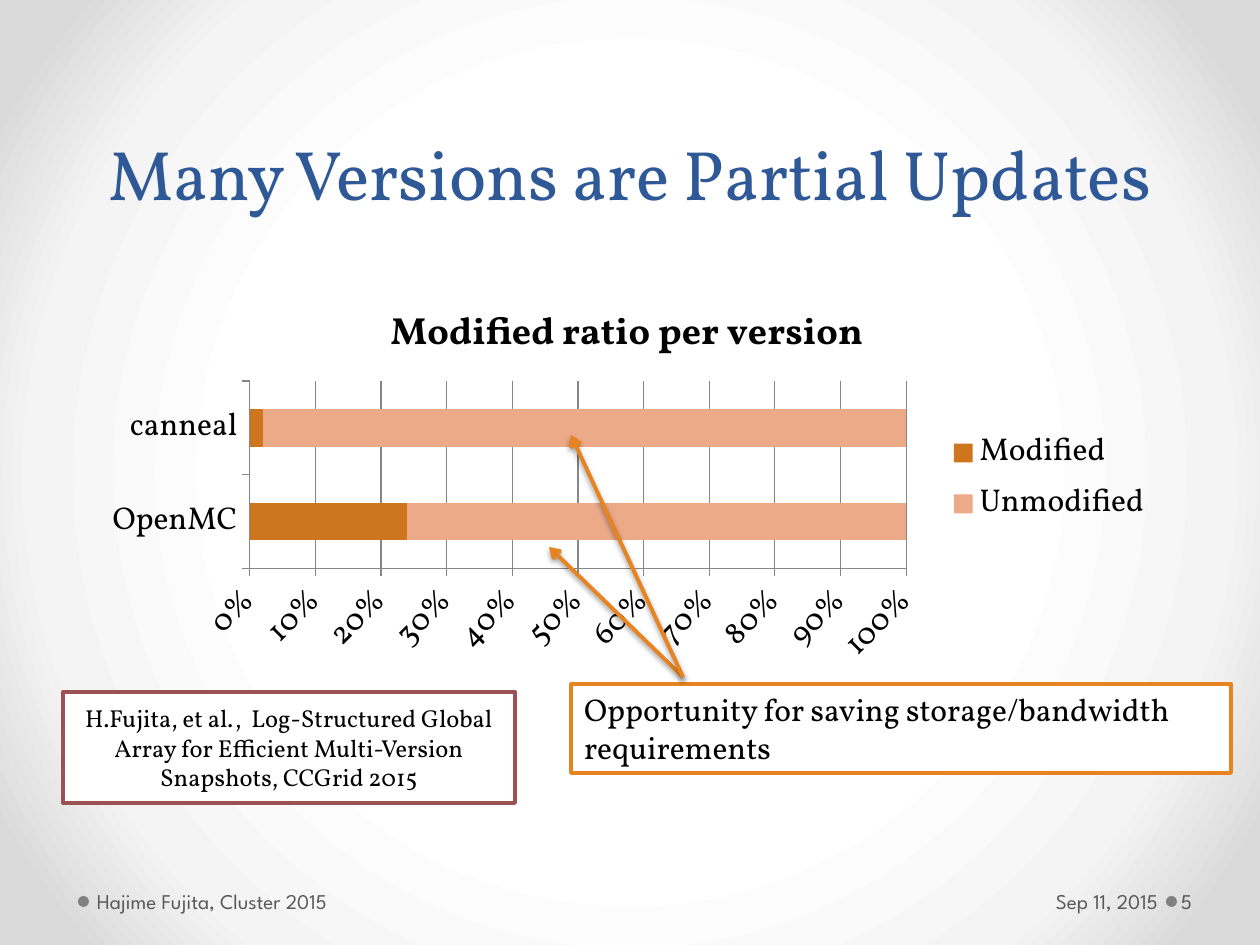
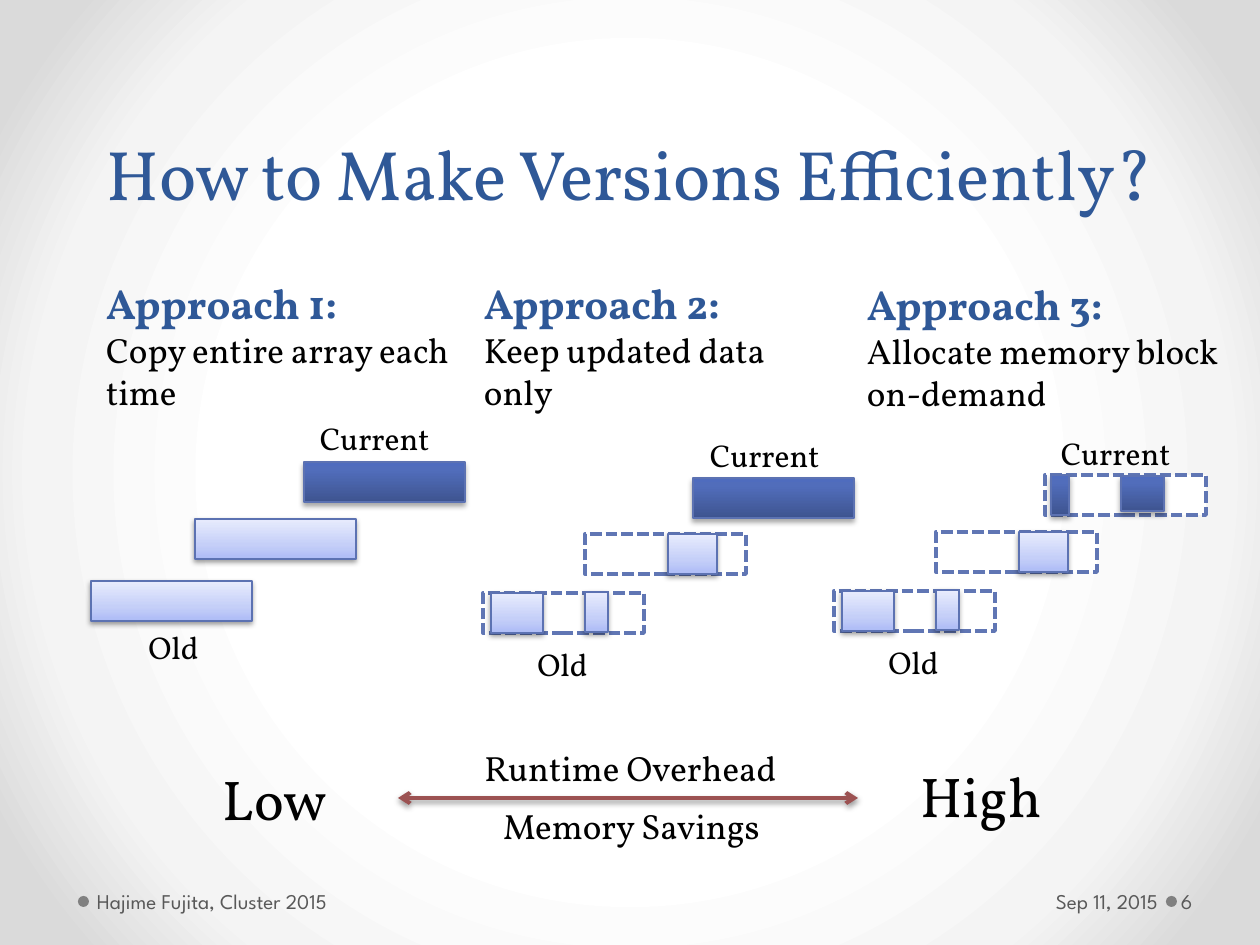
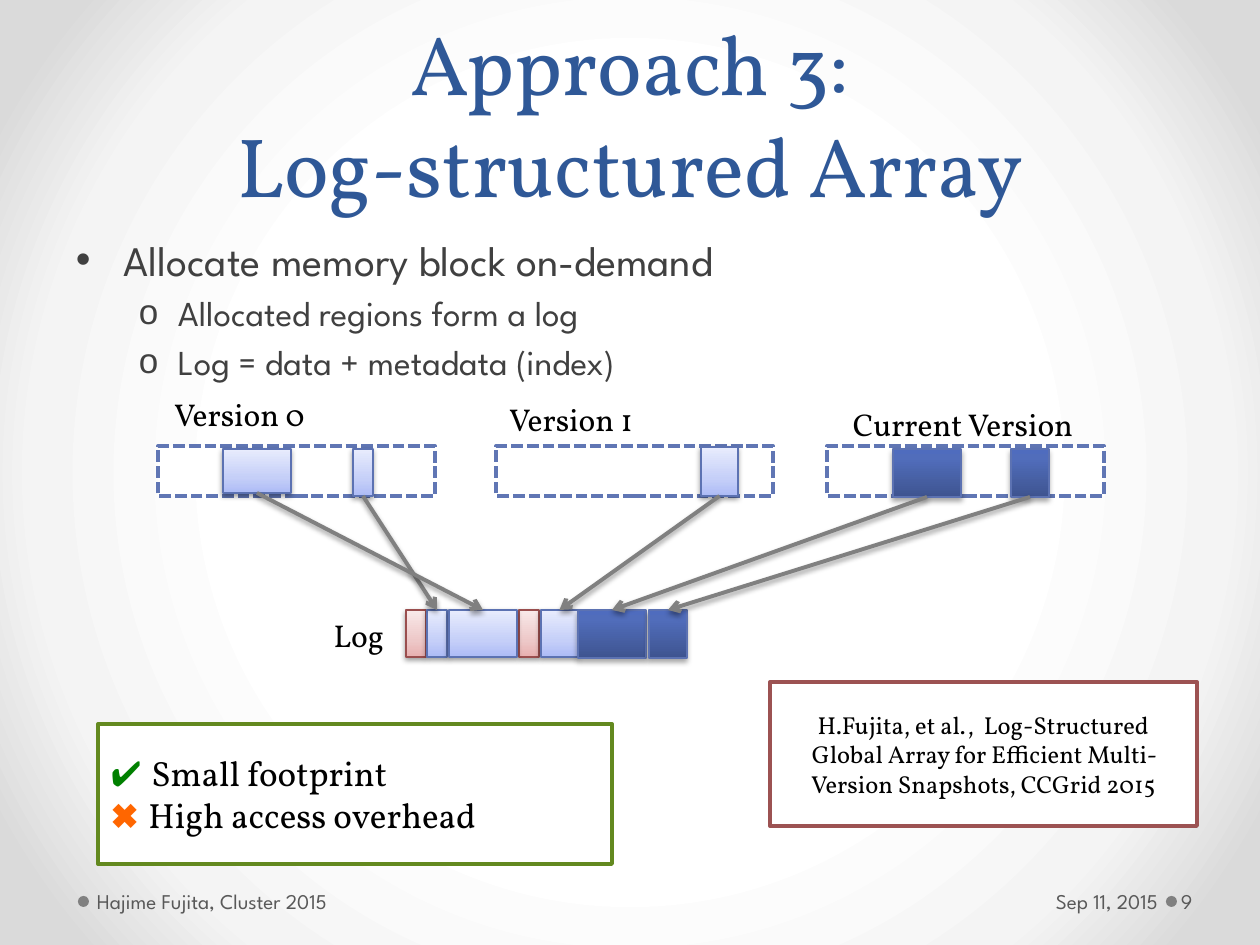
from pptx import Presentation
from pptx.chart.data import CategoryChartData
from pptx.dml.color import RGBColor
from pptx.enum.chart import XL_CHART_TYPE, XL_LEGEND_POSITION, XL_TICK_MARK
from pptx.enum.dml import MSO_LINE
from pptx.enum.shapes import MSO_CONNECTOR, MSO_SHAPE
from pptx.enum.text import MSO_ANCHOR, PP_ALIGN
from pptx.oxml import parse_xml
from pptx.oxml.ns import nsdecls, qn
from pptx.util import Emu, Pt

EMU_PER_PX = 914400 / 126
SERIF, SANS, SYMBOL = "Vollkorn", "League Spartan", "Arial"
TOP, BOTTOM = 0, 2

COLORS = {
    "black": "000000", "white": "FFFFFF", "title": "2F5897",
    "body": "404040", "footer": "595959", "gray": "808080",
    "dash": "6076B4", "blue edge": "5C72B2", "rose edge": "9A4E4E",
    "red": "9C5252", "orange": "E68422", "green": "63891F",
    "check": "008000", "cross": "FF6600", "grid": "868686",
    "modified": "CD761E", "unmodified": "ECAA89",
}
GRADIENTS = {
    "backdrop": [(50, "FFFFFF"), (76, "F4F4F4"), (92, "DADADA")],
    "dark": [(0, "3E5490"), (80, "516DBB"), (100, "4F6CBE")],
    "light": [(0, "ADBBF6"), (35, "C5CFF8"), (100, "E8ECFD")],
    "rose": [(0, "E8B0B0"), (35, "EDC8C8"), (100, "F9E9E9")],
}
UPWARD = '<a:lin ang="16200000" scaled="0"/>'
FROM_CENTER = ('<a:path path="circle"><a:fillToRect l="50000" t="50000" '
               'r="50000" b="50000"/></a:path>')
CITATION = ("H.Fujita, et al.,  Log-Structured Global Array for Efficient "
            "Multi-Version Snapshots, CCGrid 2015")


def px(*lengths):
    return [Emu(round(length * EMU_PER_PX)) for length in lengths]


def rgb(name):
    return RGBColor.from_string(COLORS[name])


def replace_solid_fill(properties, gradient, direction):
    """Swap the solid fill in a properties element for a named gradient."""
    stops = "".join(
        f'<a:gs pos="{position * 1000}"><a:srgbClr val="{color}"/></a:gs>'
        for position, color in GRADIENTS[gradient])
    solid = properties.find(qn("a:solidFill"))
    properties.replace(solid, parse_xml(
        f'<a:gradFill {nsdecls("a")} rotWithShape="1">'
        f'<a:gsLst>{stops}</a:gsLst>{direction}</a:gradFill>'))


def add_shadow(properties, opacity=38, distance=1.6):
    """Put a soft downward shadow on a shape or connector."""
    old = properties.find(qn("a:effectLst"))
    if old is not None:
        properties.remove(old)
    properties.append(parse_xml(
        f'<a:effectLst {nsdecls("a")}><a:outerShdw blurRad="{Pt(3.1)}" '
        f'dist="{Pt(distance)}" dir="5400000" rotWithShape="0">'
        f'<a:srgbClr val="000000"><a:alpha val="{opacity * 1000}"/>'
        '</a:srgbClr></a:outerShdw></a:effectLst>'))


def write(paragraph, text, *, size=18, color="black", font=SERIF, bold=False,
          align=None, line_spacing=None, space_before=None):
    """Append formatted text to a paragraph; a newline is a line break."""
    if align is not None:
        paragraph.alignment = align
    if line_spacing:
        paragraph.line_spacing = Pt(line_spacing)
    if space_before:
        paragraph.space_before = Pt(space_before)
    for index, line in enumerate(text.split("\n")):
        if index:
            paragraph.add_line_break()
        run = paragraph.add_run()
        run.text = line
        run.font.name = font
        run.font.size = Pt(size)
        run.font.bold = bold
        run.font.color.rgb = rgb(color)


def prepare_frame(shape, anchor=MSO_ANCHOR.TOP, insets=(13, 6, 13, 6)):
    frame = shape.text_frame
    frame.word_wrap = True
    frame.vertical_anchor = anchor
    (frame.margin_left, frame.margin_top,
     frame.margin_right, frame.margin_bottom) = px(*insets)
    return frame


def add_text(slide, box, text="", anchor=MSO_ANCHOR.TOP,
             insets=(13, 6, 13, 6), **text_format):
    frame = prepare_frame(slide.shapes.add_textbox(*px(*box)), anchor, insets)
    if text:
        write(frame.paragraphs[0], text, **text_format)
    return frame


def add_flat_shape(slide, box, fill="white", edge=None, preset=MSO_SHAPE.RECTANGLE):
    shape = slide.shapes.add_shape(preset, *px(*box))
    shape.shadow.inherit = False
    shape.fill.solid()
    shape.fill.fore_color.rgb = rgb(fill)
    if edge:
        shape.line.color.rgb = rgb(edge)
        shape.line.width = Pt(2.25)
    else:
        shape.line.fill.background()
    return shape


def add_array_outline(slide, box):
    add_flat_shape(slide, box, edge="dash").line.dash_style = MSO_LINE.SQUARE_DOT


def add_block(slide, box, tone):
    """Add a shaded memory block: dark is current, light is old, rose is index."""
    block = add_flat_shape(slide, box, edge="rose edge" if tone == "rose" else "blue edge")
    block.line.width = Pt(0.75)
    properties = block.element.spPr
    replace_solid_fill(properties, tone, UPWARD)
    if tone == "dark":
        add_shadow(properties, opacity=35, distance=1.8)
    else:
        add_shadow(properties)
    return block


def add_note(slide, box, edge, anchor=MSO_ANCHOR.MIDDLE):
    frame = prepare_frame(add_flat_shape(slide, box, edge=edge), anchor)
    frame.paragraphs[0].alignment = PP_ALIGN.LEFT
    return frame


def add_citation(slide, box):
    frame = add_note(slide, box, "red")
    write(frame.paragraphs[0], CITATION, size=14, align=PP_ALIGN.CENTER)


def add_arrow(slide, start=(0, 0), end=(0, 0), color="gray", ends=("tailEnd",)):
    arrow = slide.shapes.add_connector(MSO_CONNECTOR.STRAIGHT, *px(*start, *end))
    arrow.line.color.rgb = rgb(color)
    arrow.line.width = Pt(2.25)
    properties = arrow.element.spPr
    for name in ends:
        properties.find(qn("a:ln")).append(
            parse_xml(f'<a:{name} {nsdecls("a")} type="arrow"/>'))
    add_shadow(properties)
    return arrow


def add_bullet(frame, text, level, symbol, left, hanging, **text_format):
    first = not frame.paragraphs[0].runs
    paragraph = frame.paragraphs[0] if first else frame.add_paragraph()
    paragraph.level = level
    properties = paragraph._p.get_or_add_pPr()
    margin, indent = px(left, -hanging)
    properties.set("marL", str(margin))
    properties.set("indent", str(indent))
    for element in (f'buFont {nsdecls("a")} typeface="{SYMBOL}"',
                    f'buChar {nsdecls("a")} char="{symbol}"'):
        properties.append(parse_xml(f"<a:{element}/>"))
    write(paragraph, text, font=SANS, color="body",
          space_before=None if first else 4, **text_format)


def add_framed_slide(presentation, title, number, title_size=40):
    """Add a slide with its title and footer."""
    slide = presentation.slides.add_slide(presentation.slide_layouts[6])
    for left in (1166, 78):
        add_flat_shape(slide, (left, 896, 11, 11), "gray", preset=MSO_SHAPE.OVAL)
    add_text(slide, (63, 0, 1134, 220), title, MSO_ANCHOR.BOTTOM, size=title_size,
             color="title", align=PP_ALIGN.CENTER, line_spacing=58)
    for left, width, text, insets, align in (
            (877, 287, "Sep 11, 2015", (13, 6, 6, 6), PP_ALIGN.RIGHT),
            (1177, 77, str(number), (4, 6, 6, 6), PP_ALIGN.LEFT),
            (91, 392, "Hajime Fujita, Cluster 2015", (6, 6, 13, 6), PP_ALIGN.LEFT)):
        add_text(slide, (left, 876, width, 50), text, MSO_ANCHOR.MIDDLE, insets,
                 size=12, font=SANS, color="footer", align=align)
    return slide


def add_ratio_chart(slide, box):
    data = CategoryChartData()
    data.categories = ["OpenMC", "canneal"]
    data.add_series("Modified", (24, 2))
    data.add_series("Unmodified", (76, 98))
    chart = slide.shapes.add_chart(XL_CHART_TYPE.BAR_STACKED_100, *px(*box), data).chart
    chart.font.name = SERIF
    chart.font.size = Pt(18)
    chart.font.color.rgb = rgb("black")
    chart.has_title = True
    write(chart.chart_title.text_frame.paragraphs[0], "Modified ratio per version",
          size=21.6, bold=True)
    chart.has_legend = True
    chart.legend.position = XL_LEGEND_POSITION.RIGHT
    chart.legend.include_in_layout = False
    for axis in (chart.category_axis, chart.value_axis):
        axis.major_tick_mark = XL_TICK_MARK.OUTSIDE
        axis.format.line.color.rgb = rgb("grid")
    chart.value_axis.has_major_gridlines = True
    chart.value_axis.major_gridlines.format.line.color.rgb = rgb("grid")
    labels = chart.value_axis.tick_labels
    labels.number_format = "0%"
    labels.number_format_is_linked = False
    plot = chart.plots[0]
    plot.gap_width = 150
    plot.overlap = 100
    plot.vary_by_categories = False
    for series, color in zip(plot.series, ("modified", "unmodified")):
        series.format.fill.solid()
        series.format.fill.fore_color.rgb = rgb(color)


def add_approach_heading(slide, box, number, summary):
    frame = add_text(slide, box, f"Approach {number}:", size=24, color="title", bold=True)
    write(frame.add_paragraph(), summary, size=20)


def add_age_labels(slide, current, old):
    add_text(slide, (*current, 161, 50), "Current")
    add_text(slide, (*old, 161, 50), "Old", align=PP_ALIGN.CENTER)


def add_sparse_history(slide, left, top):
    """Draw two old versions that keep only their updated blocks."""
    for dx, dy in ((0, 0), (102, -59)):
        add_array_outline(slide, (left + dx, top + dy, 161, 40))
    for dx, dy, width in ((8, 0, 52), (102, -1, 23), (185, -59, 49)):
        add_block(slide, (left + dx, top + dy, width, 40), "light")
    add_age_labels(slide, (left + 214, top - 163), (left - 1, top + 46))


def build_partial_updates(presentation):
    slide = add_framed_slide(presentation, "Many Versions are Partial Updates", 5)
    add_ratio_chart(slide, (91, 282, 1074, 393))
    note = add_note(slide, (571, 684, 660, 89), "orange", MSO_ANCHOR.TOP)
    write(note.paragraphs[0], "Opportunity for saving storage/bandwidth requirements")
    for target in ((549, 547), (571, 435)):
        add_arrow(slide, (683, 677), target, "orange")
    add_citation(slide, (63, 692, 452, 111))


def build_approaches(presentation):
    slide = add_framed_slide(presentation, "How to Make Versions Efficiently?", 6)
    headings = (
        ((93, 272, 407, 149), "Copy entire array each time"),
        ((471, 272, 367, 149), "Keep updated data only"),
        ((854, 273, 389, 149), "Allocate memory block on-demand"),
    )
    for number, (box, summary) in enumerate(headings, start=1):
        add_approach_heading(slide, box, number, summary)

    for left, top, tone in ((304, 462, "dark"), (195, 519, "light"), (91, 581, "light")):
        add_block(slide, (left, top, 161, 40), tone)
    add_age_labels(slide, (307, 413), (93, 622))

    add_sparse_history(slide, 483, 593)
    add_block(slide, (693, 478, 161, 40), "dark")

    add_sparse_history(slide, 834, 591)
    add_array_outline(slide, (1045, 475, 161, 40))
    add_block(slide, (1051, 475, 18, 40), "dark")
    add_block(slide, (1121, 476, 43, 35), "dark")

    add_arrow(slide, (398, 798), (858, 798), "red", ("headEnd", "tailEnd"))
    for box, text, size in (
            ((427, 740, 407, 55), "Runtime Overhead", 20),
            ((428, 798, 407, 55), "Memory Savings", 20),
            ((170, 759, 210, 81), "Low", 32),
            ((876, 755, 210, 81), "High", 32)):
        add_text(slide, box, text, size=size, align=PP_ALIGN.CENTER)


def build_log_structured_array(presentation):
    slide = add_framed_slide(presentation, "Approach 3:\nLog-structured Array", 9, 48)
    body = add_text(slide, (63, 228, 1134, 168))
    add_bullet(body, "Allocate memory block on-demand", 0, "•", 48, 48, size=24)
    for text in ("Allocated regions form a log", "Log = data + metadata (index)"):
        add_bullet(body, text, 1, "o", 102, 39, size=20)

    for left, label_left, label_top, label in (
            (158, 161, 389, "Version 0"),
            (496, 496, 394, "Version 1"),
            (827, 840, 399, "Current Version")):
        add_array_outline(slide, (left, 446, 277, 50))
        add_text(slide, (label_left, label_top, 273, 50), label)

    # Each block in a version, and the left edge of its place in the log
    stored_blocks = (
        ((353, 449, 20, 47), "light", 427),
        ((223, 449, 68, 44), "light", 449),
        ((701, 447, 37, 49), "light", 541),
        ((893, 449, 68, 48), "dark", 578),
        ((1011, 449, 38, 48), "dark", 649),
    )
    for left in (406, 519):
        add_block(slide, (left, 610, 20, 47), "rose")
    pairs = []
    for box, tone, log_left in stored_blocks:
        source = add_block(slide, box, tone)
        height = 48 if tone == "dark" else 47
        pairs.append((source, add_block(slide, (log_left, 610, box[2], height), tone)))
    for source, logged in pairs:
        arrow = add_arrow(slide)
        arrow.begin_connect(source, BOTTOM)
        arrow.end_connect(logged, TOP)
    add_text(slide, (282, 610, 115, 50), "Log", align=PP_ALIGN.RIGHT)

    add_citation(slide, (770, 682, 427, 144))
    verdict = add_note(slide, (98, 724, 514, 140), "green")
    second = verdict.add_paragraph()
    second.alignment = PP_ALIGN.LEFT
    for paragraph, mark, color, text in (
            (verdict.paragraphs[0], "✔ ", "check", "Small footprint"),
            (second, "✖ ", "cross", "High access overhead")):
        write(paragraph, mark, size=20, font=SYMBOL, color=color)
        write(paragraph, text, size=20)


def main():
    presentation = Presentation()
    presentation.slide_width, presentation.slide_height = px(1260, 945)
    master = presentation.slide_master
    master.background.fill.solid()
    replace_solid_fill(master.element.find(f".//{qn('p:bgPr')}"), "backdrop", FROM_CENTER)
    build_partial_updates(presentation)
    build_approaches(presentation)
    build_log_structured_array(presentation)
    presentation.save("out.pptx")


if __name__ == "__main__":
    main()
